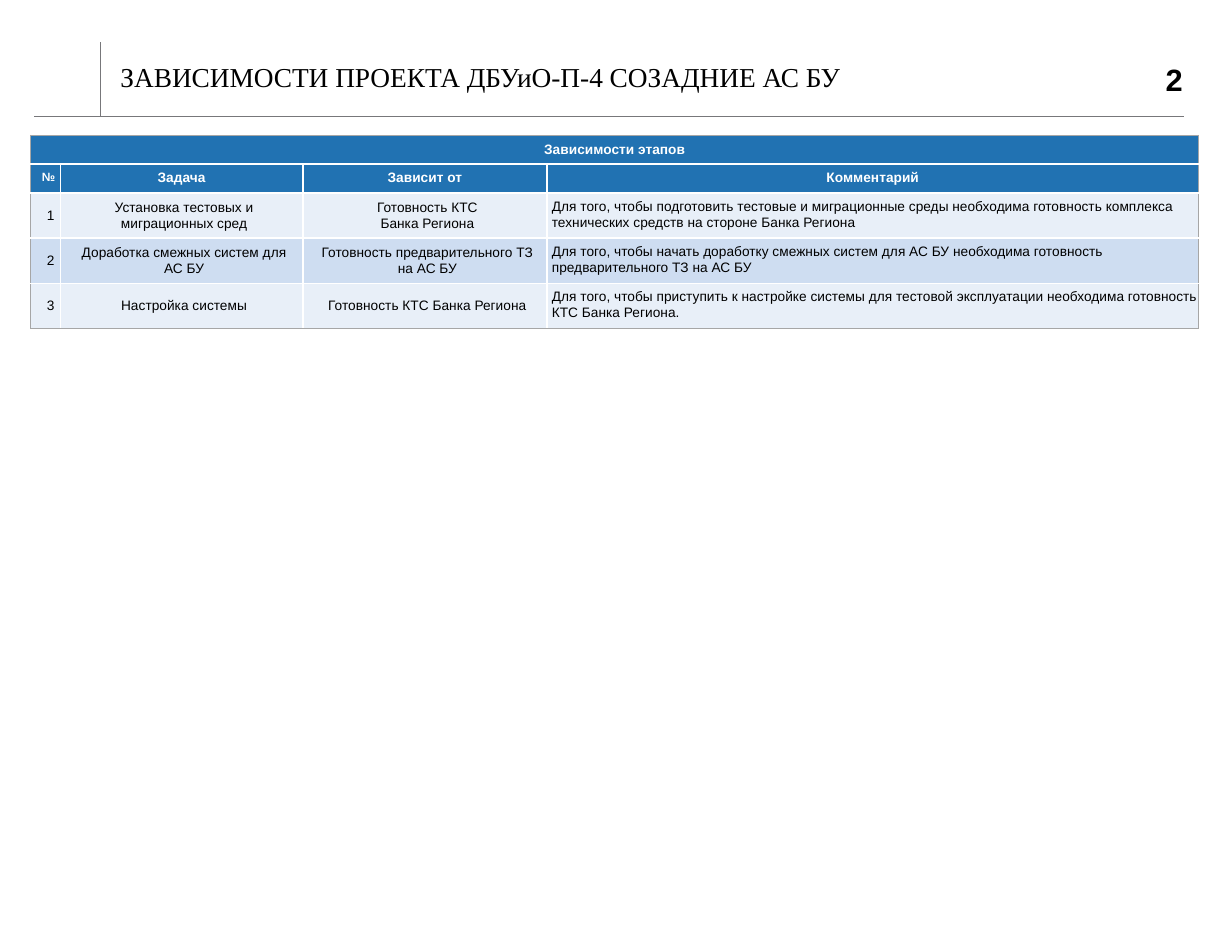
from dataclasses import dataclass
from typing import Any

from lxml import etree
from pptx import Presentation
from pptx import util as u
from pptx.dml.color import RGBColor
from pptx.enum import shapes, text
from pptx.oxml.ns import qn

COLORS = {
    "ink": "000000",
    "white": "FFFFFF",
    "rule": "77777A",
    "frame": "A6A6A6",
    "header": "2172B2",
    "light": "E8EFF8",
    "dark": "CEDDF1",
}
LEFT, CENTER, RIGHT = text.PP_ALIGN.LEFT, text.PP_ALIGN.CENTER, text.PP_ALIGN.RIGHT
TOP, MIDDLE = text.MSO_ANCHOR.TOP, text.MSO_ANCHOR.MIDDLE

COLUMN_WIDTHS = [0.24, 1.97, 1.98, 5.29]
ROW_HEIGHTS = [0.22, 0.22, 0.34, 0.34, 0.34]
HEADINGS = ["№", "Задача", "Зависит от", "Комментарий"]
DEPENDENCIES = [
    ["1", "Установка тестовых и миграционных сред", "Готовность КТС\nБанка Региона",
     "Для того, чтобы подготовить тестовые и миграционные среды необходима готовность "
     "комплекса технических средств на стороне Банка Региона"],
    ["2", "Доработка смежных систем для АС БУ", "Готовность предварительного ТЗ на АС БУ",
     "Для того, чтобы начать доработку смежных систем для АС БУ необходима готовность "
     "предварительного ТЗ на АС БУ"],
    ["3", "Настройка системы", "Готовность КТС Банка Региона",
     "Для того, чтобы приступить к настройке системы для тестовой эксплуатации необходима "
     "готовность КТС Банка Региона."],
]


@dataclass
class Deck:
    slide: Any
    font: str = "Arial"

    def color(self, name):
        return RGBColor.from_string(COLORS[name])

    def add_lines(self, frame, content, size, color="ink", bold=False, align=LEFT,
                  font=None, indent=0, spacing=None):
        for index, line in enumerate(content.split("\n")):
            paragraph = frame.add_paragraph() if index else frame.paragraphs[0]
            paragraph.alignment = align
            if spacing:
                paragraph.line_spacing = spacing
            if indent:
                properties = paragraph._p.get_or_add_pPr()
                properties.set("marL", str(u.Inches(indent)))
                properties.set("indent", "0")
            run = paragraph.add_run()
            run.text = line
            run.font.name = font or self.font
            run.font.size = u.Pt(size)
            run.font.bold = bold
            run.font.color.rgb = self.color(color)

    def label(self, box, content, size, margins=(0, 0), **style):
        frame = self.slide.shapes.add_textbox(*map(u.Inches, box)).text_frame
        frame.word_wrap = True
        frame.vertical_anchor = MIDDLE
        frame.margin_left = frame.margin_right = u.Inches(margins[0])
        frame.margin_top = frame.margin_bottom = u.Inches(margins[1])
        self.add_lines(frame, content, size, **style)

    def rule(self, *ends):
        line = self.slide.shapes.add_connector(
            shapes.MSO_CONNECTOR.STRAIGHT, *map(u.Inches, ends))
        line.line.color.rgb = self.color("rule")
        line.line.width = u.Pt(0.25)
        etree.SubElement(line._element.spPr, qn("a:effectLst"))

    def table(self, left, top, widths, heights):
        grid = self.slide.shapes.add_table(
            len(heights), len(widths), u.Inches(left), u.Inches(top),
            u.Inches(sum(widths)), u.Inches(sum(heights))).table
        for column, width in zip(grid.columns, widths):
            column.width = u.Inches(width)
        for row, height in zip(grid.rows, heights):
            row.height = u.Inches(height)
        return grid

    def borders(self, cell, outer):
        properties = cell._tc.get_or_add_tcPr()
        for side in "LRTB":
            name, width = ("frame", 0.75) if side in outer else ("white", 1)
            edge = etree.SubElement(properties, qn(f"a:ln{side}"), w=str(u.Pt(width)))
            fill = etree.SubElement(edge, qn("a:solidFill"))
            etree.SubElement(fill, qn("a:srgbClr"), val=COLORS[name])

    def cell(self, cell, content, fill, outer, side_margin=0.09, anchor=TOP, **style):
        self.borders(cell, outer)
        cell.fill.solid()
        cell.fill.fore_color.rgb = self.color(fill)
        cell.margin_left = cell.margin_right = u.Inches(side_margin)
        cell.margin_top = cell.margin_bottom = u.Inches(0.05)
        cell.vertical_anchor = anchor
        if content:
            self.add_lines(cell.text_frame, content, **style)


def main():
    presentation = Presentation()
    presentation.slide_width = u.Inches(10)
    presentation.slide_height = u.Inches(7.6)
    deck = Deck(presentation.slides.add_slide(presentation.slide_layouts[6]))

    deck.rule(9.61, 0.94, 0.28, 0.94)
    deck.rule(0.81, 0.94, 0.81, 0.34)
    deck.label((0.88, 0.44, 8.1, 0.4), "ЗАВИСИМОСТИ ПРОЕКТА ДБУиО-П-4 СОЗАДНИЕ АС БУ",
               16, margins=(0.1, 0.05), font="Times New Roman", spacing=0.9)
    deck.label((9.21, 0.38, 0.39, 0.52), "2", 18, bold=True, align=RIGHT)

    stages = deck.table(0.25, 1.1, COLUMN_WIDTHS, ROW_HEIGHTS)
    stages.cell(0, 0).merge(stages.cell(0, 3))
    rows = [["Зависимости этапов", "", "", ""], HEADINGS, *DEPENDENCIES]
    last_row, last_column = len(rows) - 1, len(HEADINGS) - 1
    for r, row in enumerate(rows):
        for c, content in enumerate(row):
            outer = (("L" if c == 0 else "") + ("R" if c == last_column or r == 0 else "")
                     + ("T" if r == 0 else "") + ("B" if r == last_row else ""))
            side_margin = 0 if c == last_column and r else 0.09
            if r < 2:
                deck.cell(stages.cell(r, c), content, "header", outer, side_margin,
                          size=7 if content == "№" else 8, color="white",
                          bold=True, align=CENTER)
            else:
                deck.cell(stages.cell(r, c), content, "dark" if r % 2 else "light",
                          outer, side_margin, TOP if c == last_column else MIDDLE,
                          size=8, align=CENTER if c in (1, 2) else LEFT, indent=0.04)

    presentation.save("out.pptx")


if __name__ == "__main__":
    main()
